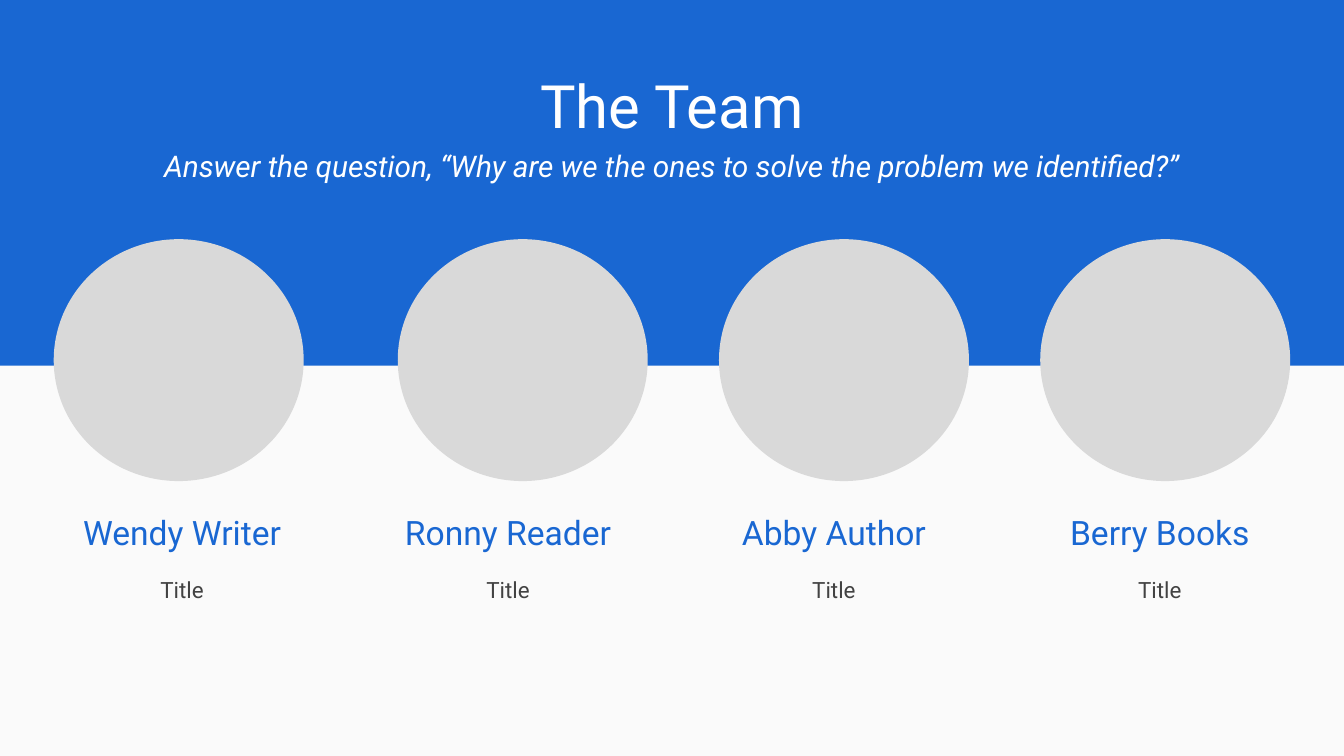
from pptx import Presentation
from pptx.dml.color import RGBColor
from pptx.enum.shapes import MSO_SHAPE
from pptx.enum.text import MSO_ANCHOR, MSO_AUTO_SIZE, PP_ALIGN
from pptx.oxml.ns import qn
from pptx.util import Pt

PX = 4572  # EMU per px, 200 px to the inch
SLIDE_W, SLIDE_H = 2000, 1125

BLUE = RGBColor(0x19, 0x67, 0xD2)
WHITE = RGBColor(0xFF, 0xFF, 0xFF)
PAPER = RGBColor(0xFA, 0xFA, 0xFA)
GREY = RGBColor(0xD9, 0xD9, 0xD9)
INK = RGBColor(0x42, 0x42, 0x42)

RECT, OVAL = MSO_SHAPE.RECTANGLE, MSO_SHAPE.OVAL
TOP, BOTTOM = MSO_ANCHOR.TOP, MSO_ANCHOR.BOTTOM
CENTER, NO_FIT = PP_ALIGN.CENTER, MSO_AUTO_SIZE.NONE

COMPARISON_LAYOUT = 4  # one title and four body placeholders

HEADING = {"size": Pt(32), "color": WHITE}
QUESTION = {"size": Pt(16), "italic": True, "color": WHITE}
NAME = {"size": Pt(18), "color": BLUE}
ROLE = {"size": Pt(12), "color": INK}
TIGHT = {"space_before": Pt(0), "space_after": Pt(0)}
QUESTION_GAPS = {"space_before": Pt(4), "space_after": Pt(4)}
ROLE_GAPS = {"space_before": Pt(0), "space_after": Pt(16), "line_spacing": 1.15}

# Name, role, and left edge of the portrait within the card
MEMBERS = [
    ("Wendy Writer", "Title", 30),
    ("Ronny Reader", "Title", 57),
    ("Abby Author", "Title", 50),
    ("Berry Books", "Title", 43),
]
CARD_LEFT, CARD_TOP, CARD_W, CARD_H, CARD_PITCH = 50, 356, 442, 728, 485


def emu(*lengths):
    return [length * PX for length in lengths]


def place(holder, box):
    holder.left, holder.top, holder.width, holder.height = emu(*box)


def add_flat_shape(slide, kind, box, color):
    shape = slide.shapes.add_shape(kind, *emu(*box))
    shape.shadow.inherit = False
    shape.fill.solid()
    shape.fill.fore_color.rgb = color
    shape.line.fill.background()
    return shape


def write(holder, anchor, lines):
    """Fill a text holder with (text, font format, paragraph format) lines."""
    frame = holder.text_frame
    inset = 20 * PX
    frame_format = {
        "word_wrap": True, "auto_size": NO_FIT, "vertical_anchor": anchor,
        "margin_left": inset, "margin_right": inset,
        "margin_top": inset, "margin_bottom": inset,
    }
    for key, value in frame_format.items():
        setattr(frame, key, value)
    for index, (text, font_format, gaps) in enumerate(lines):
        paragraph = frame.add_paragraph() if index else frame.paragraphs[0]
        for key, value in {"alignment": CENTER, **gaps}.items():
            setattr(paragraph, key, value)
        # Drop the bullet and indent of the template
        properties = paragraph._p.get_or_add_pPr()
        properties.set("marL", "0")
        properties.set("indent", "0")
        properties.append(properties.makeelement(qn("a:buNone"), {}))
        run = paragraph.add_run()
        run.text = text
        font = {"name": "Roboto", "bold": False, **font_format}
        run.font.color.rgb = font.pop("color")
        for key, value in font.items():
            setattr(run.font, key, value)


def build_header(slide, box):
    left, top, width, height = box
    band = add_flat_shape(slide, RECT, box, BLUE)
    slide.shapes._spTree.insert(2, band._element)  # behind the placeholders
    title = slide.shapes.title
    place(title, (left + 68, top + 82, width - 140, height - 322))
    write(title, TOP, [
        ("The Team", HEADING, TIGHT),
        ("Answer the question, “Why are we the ones to solve the problem we identified?”",
         QUESTION, QUESTION_GAPS),
    ])


def build_member(slide, box, member, role_holder):
    left, top, width, height = box
    name, role, portrait_left = member
    # Name
    name_box = slide.shapes.add_textbox(*emu(left, top + 360, width, 126))
    write(name_box, BOTTOM, [(name, NAME, TIGHT)])
    # Role
    place(role_holder, (left, top + 476, width, height - 476))
    write(role_holder, TOP, [(role, ROLE, ROLE_GAPS)])
    # Portrait
    add_flat_shape(slide, OVAL, (left + portrait_left, top, 372, 360), GREY)


def main():
    deck = Presentation()
    deck.slide_width, deck.slide_height = emu(SLIDE_W, SLIDE_H)
    slide = deck.slides.add_slide(deck.slide_layouts[COMPARISON_LAYOUT])
    slide.background.fill.solid()
    slide.background.fill.fore_color.rgb = PAPER

    build_header(slide, (0, 0, 2004, 544))
    role_holders = list(slide.placeholders)[1:]
    for index, (member, holder) in enumerate(zip(MEMBERS, role_holders)):
        card = (CARD_LEFT + index * CARD_PITCH, CARD_TOP, CARD_W, CARD_H)
        build_member(slide, card, member, holder)
    deck.save("out.pptx")


if __name__ == "__main__":
    main()
